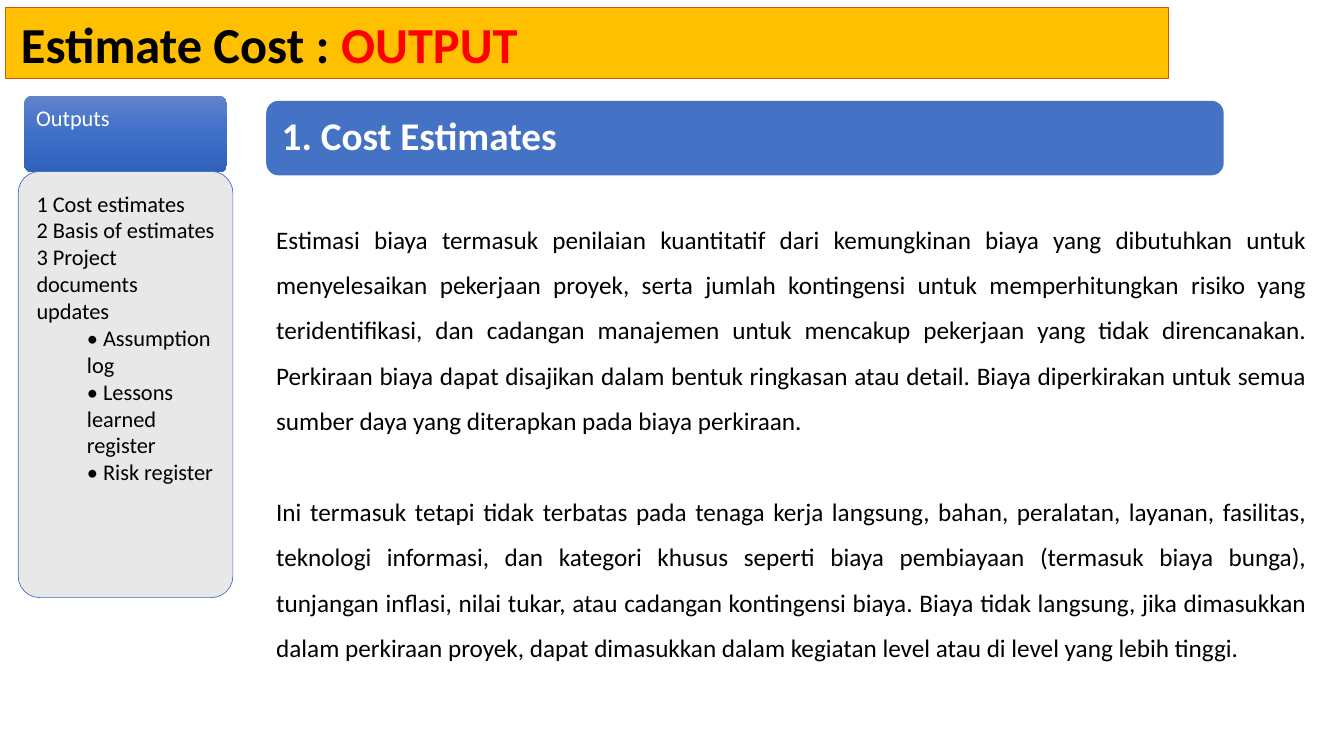
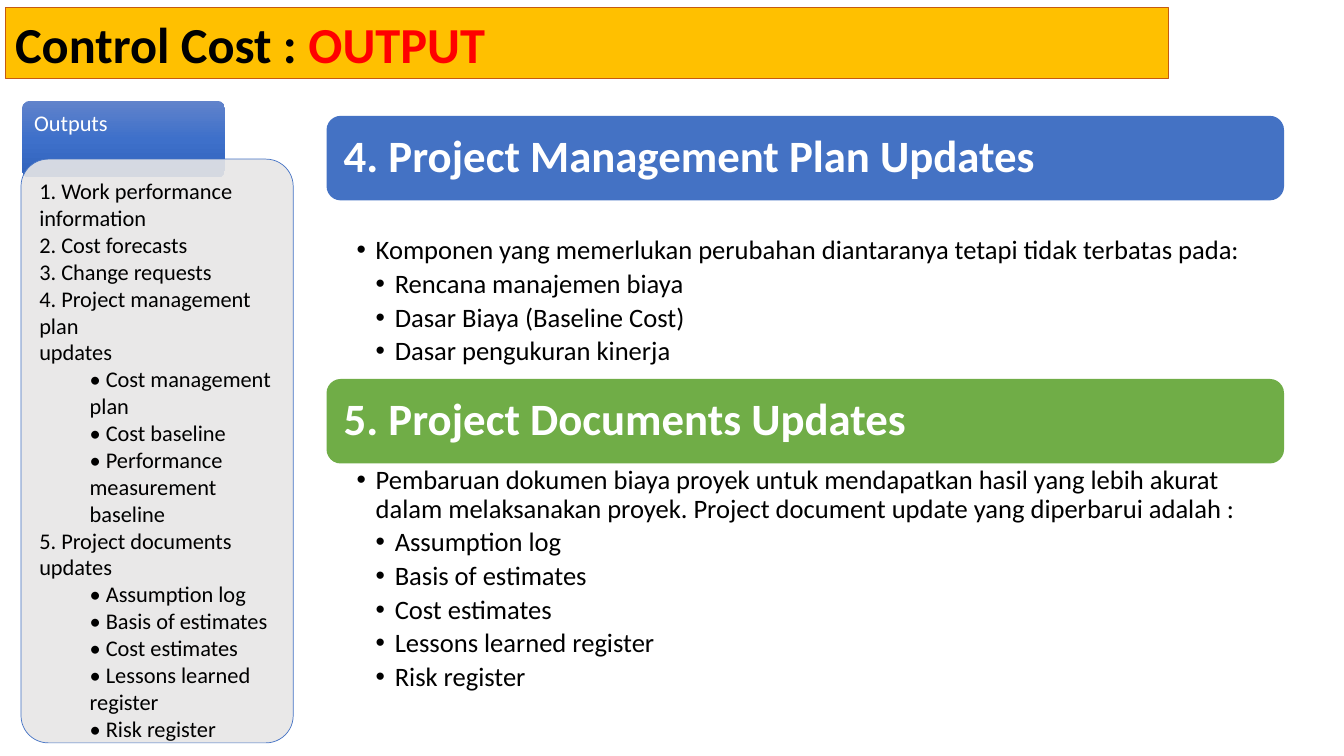
from copy import deepcopy

from lxml import etree
from pptx import Presentation
from pptx.dml import color as dml
from pptx.enum import shapes, text
from pptx.oxml import ns
from pptx.util import Cm, Pt

FONT = "Calibri"
COLORS = {
    "black": "000000", "white": "FFFFFF", "red": "FF0000",
    "gold": "FFC000", "rust": "C55A11",
    "blue": "4472C4", "green": "70AD47", "grey": "E7E6E6",
    "tab_top": "6183CB", "tab_mid": "3E70CA", "tab_low": "3062BB",
}
TAB_STOPS = ((0, "tab_top"), (0.5, "tab_mid"), (1, "tab_low"))
CORNER = 0.1          # corner radius of the side panel, as a share of the short side
TEXT_INSET = 0.29     # share of the radius by which a rounded box insets its text

ESTIMATE_OUTPUTS = [
    (0, "1 Cost estimates"),
    (0, "2 Basis of estimates"),
    (0, "3 Project documents updates"),
    (1, "• Assumption log"),
    (1, "• Lessons learned register"),
    (1, "• Risk register"),
]
ESTIMATE_BODY = [
    "Estimasi biaya termasuk penilaian kuantitatif dari kemungkinan biaya yang "
    "dibutuhkan untuk menyelesaikan pekerjaan proyek, serta jumlah kontingensi untuk "
    "memperhitungkan risiko yang teridentifikasi, dan cadangan manajemen untuk mencakup "
    "pekerjaan yang tidak direncanakan. Perkiraan biaya dapat disajikan dalam bentuk "
    "ringkasan atau detail. Biaya diperkirakan untuk semua sumber daya yang diterapkan "
    "pada biaya perkiraan.",
    "Ini termasuk tetapi tidak terbatas pada tenaga kerja langsung, bahan, peralatan, "
    "layanan, fasilitas, teknologi informasi, dan kategori khusus seperti biaya "
    "pembiayaan (termasuk biaya bunga), tunjangan inflasi, nilai tukar, atau cadangan "
    "kontingensi biaya. Biaya tidak langsung, jika dimasukkan dalam perkiraan proyek, "
    "dapat dimasukkan dalam kegiatan level atau di level yang lebih tinggi.",
]
CONTROL_OUTPUTS = [
    (0, "1. Work performance"),
    (0, "information"),
    (0, "2. Cost forecasts"),
    (0, "3. Change requests"),
    (0, "4. Project management plan"),
    (0, "updates"),
    (1, "• Cost management plan"),
    (1, "• Cost baseline"),
    (1, "• Performance measurement"),
    (1, "baseline"),
    (0, "5. Project documents updates"),
    (1, "• Assumption log"),
    (1, "• Basis of estimates"),
    (1, "• Cost estimates"),
    (1, "• Lessons learned register"),
    (1, "• Risk register"),
]
PLAN_UPDATES = [
    (0, "Komponen yang memerlukan perubahan diantaranya tetapi tidak terbatas pada:"),
    (1, "Rencana manajemen biaya"),
    (1, "Dasar Biaya (Baseline Cost)"),
    (1, "Dasar pengukuran kinerja"),
]
DOCUMENT_UPDATES = [
    (0, "Pembaruan dokumen biaya proyek untuk mendapatkan hasil yang lebih akurat dalam "
        "melaksanakan proyek. Project document update yang diperbarui adalah :"),
    (1, "Assumption log"),
    (1, "Basis of estimates"),
    (1, "Cost estimates"),
    (1, "Lessons learned register"),
    (1, "Risk register"),
]


# Basics
def rgb(name):
    return dml.RGBColor.from_string(COLORS[name])


def set_frame(sp, margins, anchor=text.MSO_ANCHOR.TOP):
    """Margins are left, top, right, bottom in centimetres."""
    tf = sp.text_frame
    tf.word_wrap = True
    tf.vertical_anchor = anchor
    tf.margin_left, tf.margin_top, tf.margin_right, tf.margin_bottom = map(Cm, margins)
    return tf


def add_paragraph(tf, first, align=text.PP_ALIGN.LEFT, spacing=1.0):
    p = tf.paragraphs[0] if first else tf.add_paragraph()
    p.alignment = align
    p.line_spacing = spacing
    return p


def add_run(p, words, size, color, bold=False):
    r = p.add_run()
    r.text = words
    r.font.name, r.font.size, r.font.bold = FONT, Pt(size), bold
    r.font.color.rgb = rgb(color)


def set_indent(p, left, first=0, bullet=None):
    pPr = p._p.get_or_add_pPr()
    pPr.set("marL", str(Cm(left)))
    pPr.set("indent", str(Cm(first)))
    if bullet:
        etree.SubElement(pPr, ns.qn("a:buFont")).set("typeface", "Arial")
        etree.SubElement(pPr, ns.qn("a:buChar")).set("char", bullet)


def add_box(s, kind, box, fill=None, line=None, weight=0.75):
    sp = s.shapes.add_shape(kind, *map(Cm, box))
    sp.shadow.inherit = False
    if fill:
        sp.fill.solid()
        sp.fill.fore_color.rgb = rgb(fill)
    if line:
        sp.line.color.rgb = rgb(line)
        sp.line.width = Pt(weight)
    else:
        sp.line.fill.background()
    return sp


# Title band
def add_title(s, topic, left_margin=0.23):
    sp = add_box(s, shapes.MSO_SHAPE.RECTANGLE, (0.15, 0.2, 29.29, 1.78), "gold", "rust")
    tf = set_frame(sp, (left_margin, 0.13, 0.23, 0.13))
    p = add_paragraph(tf, True)
    add_run(p, topic + " : ", 36, "black", True)
    add_run(p, "OUTPUT", 36, "red", True)


# Side panel: gradient tab and translucent list
def add_panel_box(s, box, margin, **style):
    sp = add_box(s, shapes.MSO_SHAPE.ROUNDED_RECTANGLE, box, **style)
    sp.adjustments[0] = CORNER
    inner = margin - TEXT_INSET * CORNER * min(box[2:])
    return sp, set_frame(sp, [inner] * 4)


def add_outputs_tab(s, left, top):
    sp, tf = add_panel_box(s, (left, top, 5.11, 1.93), 0.3)
    sp.fill.gradient()
    sp.fill.gradient_angle = 270
    stops = sp._element.spPr.find(".//" + ns.qn("a:gsLst"))
    stops.insert(1, deepcopy(stops[0]))
    for stop, (position, color) in zip(sp.fill.gradient_stops, TAB_STOPS):
        stop.position = position
        stop.color.rgb = rgb(color)
    add_run(add_paragraph(tf, True, spacing=0.9), "Outputs", 16, "white")


def add_outputs_list(s, box, items):
    sp, tf = add_panel_box(s, box, 0.46, fill="grey", line="blue", weight=0.5)
    fill_color = sp._element.spPr.find(ns.qn("a:solidFill"))[0]
    etree.SubElement(fill_color, ns.qn("a:alpha")).set("val", "90000")
    for i, (level, words) in enumerate(items):
        p = add_paragraph(tf, i == 0)
        p.level = level
        set_indent(p, 1.27 * level)
        add_run(p, words, 16, "black")


# Main column
def add_heading(s, box, words, size, fill, margin):
    sp = add_box(s, shapes.MSO_SHAPE.ROUNDED_RECTANGLE, box, fill)
    tf = set_frame(sp, [margin] * 4, text.MSO_ANCHOR.MIDDLE)
    add_run(add_paragraph(tf, True, spacing=0.9), words, size, "white", True)


def add_body(s, box, paragraphs):
    tf = set_frame(s.shapes.add_textbox(*map(Cm, box)), (0.25, 0.13, 0.25, 0.13))
    for i, words in enumerate(paragraphs):
        p = add_paragraph(tf, i == 0, text.PP_ALIGN.JUSTIFY, 1.5)
        if i:
            p.space_before = Pt(32.5)
        add_run(p, words, 18, "black")


def add_bullets(s, box, items):
    tf = set_frame(s.shapes.add_textbox(*map(Cm, box)), (0.76, 0.08, 0.48, 0.08))
    for i, (level, words) in enumerate(items):
        p = add_paragraph(tf, i == 0, spacing=0.9)
        p.level = level
        p.space_after = Pt(3.5)
        set_indent(p, 0.48 * (level + 1), -0.48, "•")
        add_run(p, words, 19, "black")


# Slides
def build_estimate_cost(s):
    add_title(s, "Estimate Cost", 0.38)
    add_heading(s, (6.71, 2.54, 24.13, 1.88), "1. Cost Estimates", 28, "blue", 0.3)
    add_body(s, (6.71, 5.13, 26.47, 11.79), ESTIMATE_BODY)
    add_outputs_tab(s, 0.61, 2.41)
    add_outputs_list(s, (0.46, 4.32, 5.41, 10.74), ESTIMATE_OUTPUTS)


def build_control_cost(s):
    add_title(s, "Control Cost")
    left, width, height = 8.23, 24.13, 2.13
    sections = (
        (2.92, "4. Project Management Plan Updates", "blue", 5.89, 3.66, PLAN_UPDATES),
        (9.55, "5. Project Documents Updates", "green", 11.68, 6.2, DOCUMENT_UPDATES),
    )
    for top, heading, fill, list_top, list_height, items in sections:
        add_heading(s, (left, top, width, height), heading, 32, fill, 0.33)
        add_bullets(s, (left, list_top, width, list_height), items)
    add_outputs_tab(s, 0.56, 2.54)
    add_outputs_list(s, (0.53, 4.01, 6.86, 14.71), CONTROL_OUTPUTS)


def main():
    prs = Presentation()
    prs.slide_width, prs.slide_height = Cm(33.87), Cm(19.05)
    for build in (build_estimate_cost, build_control_cost):
        build(prs.slides.add_slide(prs.slide_layouts[6]))
    prs.save("out.pptx")


if __name__ == "__main__":
    main()
